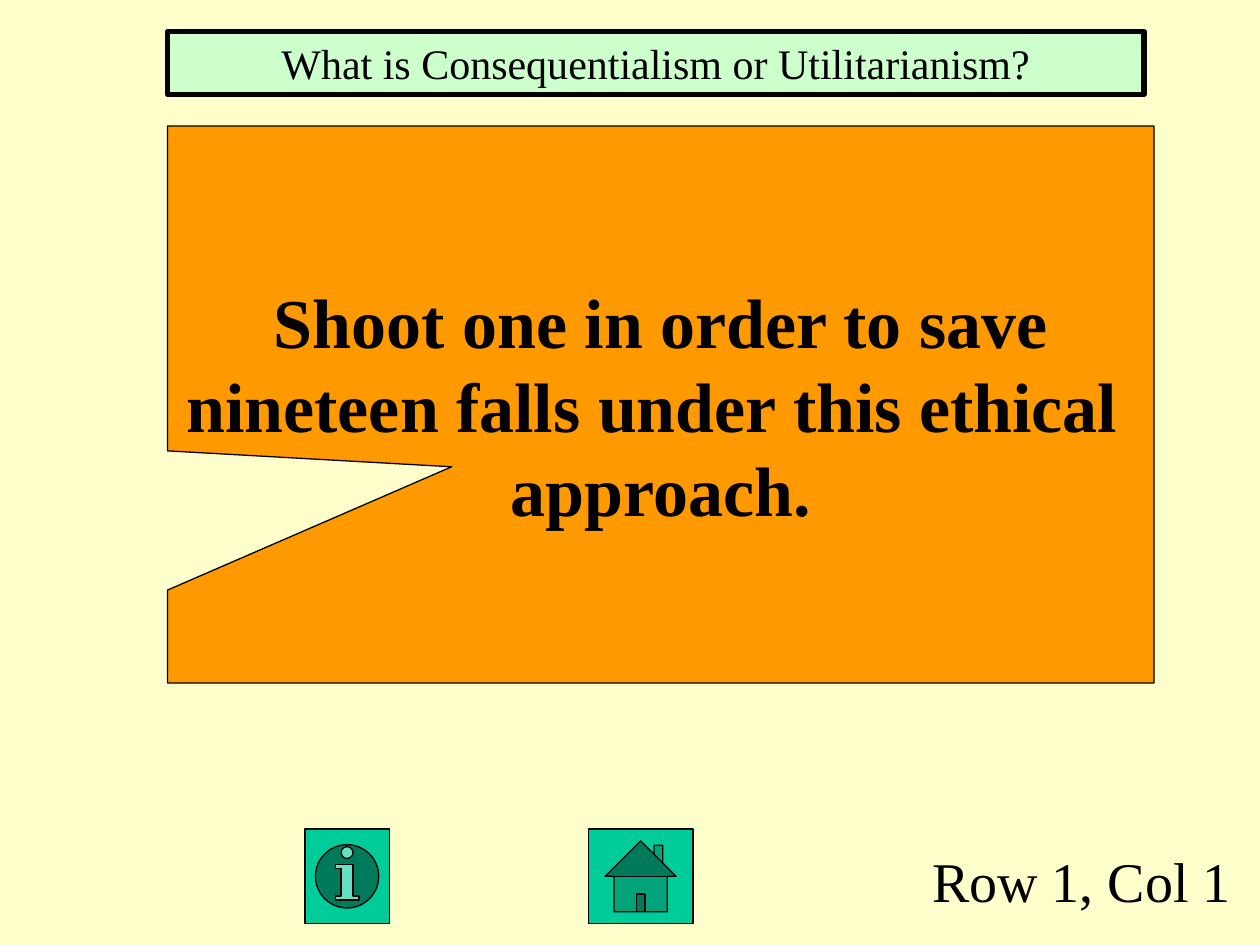
from dataclasses import dataclass

from pptx import Presentation
from pptx.dml.color import RGBColor
from pptx.enum.shapes import MSO_SHAPE
from pptx.enum.text import MSO_ANCHOR, PP_ALIGN
from pptx.util import Inches, Pt


@dataclass(frozen=True)
class Theme:
    font: str = "Times New Roman"
    background: str = "FFFFCC"
    ink: str = "000000"
    callout: str = "FF9900"
    answer: str = "CCFFCC"
    button: str = "00CC99"
    answer_size: int = 24
    label_size: int = 32
    clue_size: int = 40
    thin_line: float = 0.75
    thick_line: float = 3


THEME = Theme()


def write_lines(shape, lines, size, bold=False):
    """Put centred lines of text into a shape, one paragraph each."""
    frame = shape.text_frame
    frame.text = "\n".join(lines)
    for para in frame.paragraphs:
        para.alignment = PP_ALIGN.CENTER
        para.space_before = Pt(0)
        for span in para.runs:
            span.font.name = THEME.font
            span.font.size = Pt(size)
            span.font.bold = bold
            span.font.color.rgb = RGBColor.from_string(THEME.ink)
    return frame


def add_outlined_shape(page, kind, left, top, width, height, fill, line=THEME.thin_line):
    shape = page.shapes.add_shape(
        kind, Inches(left), Inches(top), Inches(width), Inches(height))
    shape.shadow.inherit = False
    shape.fill.solid()
    shape.fill.fore_color.rgb = RGBColor.from_string(fill)
    shape.line.color.rgb = RGBColor.from_string(THEME.ink)
    shape.line.width = Pt(line)
    return shape


def add_button(page, kind, left, width):
    return add_outlined_shape(page, kind, left, 6.58, width, 0.75, THEME.button)


def add_clue(page, lines):
    callout = add_outlined_shape(
        page, MSO_SHAPE.RECTANGULAR_CALLOUT, 1.33, 1, 7.83, 4.42, THEME.callout)
    callout.adjustments[0] = -0.212
    callout.adjustments[1] = 0.112
    frame = write_lines(callout, lines, THEME.clue_size, bold=True)
    frame.word_wrap = False
    frame.vertical_anchor = MSO_ANCHOR.MIDDLE


def add_answer(page, text):
    bar = add_outlined_shape(page, MSO_SHAPE.RECTANGLE, 1.33, 0.25, 7.75, 0.5,
                             THEME.answer, THEME.thick_line)
    frame = write_lines(bar, [text], THEME.answer_size)
    frame.word_wrap = True
    frame.vertical_anchor = MSO_ANCHOR.MIDDLE


def place_label(label, text):
    label.left, label.top = Inches(7.17), Inches(6.67)
    label.width, label.height = Inches(2.83), Inches(0.83)
    frame = write_lines(label, [text], THEME.label_size)
    frame.vertical_anchor = MSO_ANCHOR.TOP


def main():
    deck = Presentation()
    deck.slide_width, deck.slide_height = Inches(10), Inches(7.5)
    page = deck.slides.add_slide(deck.slide_layouts[0])
    page.background.fill.solid()
    page.background.fill.fore_color.rgb = RGBColor.from_string(THEME.background)

    # Board position, in the subtitle; the title stays unused
    title = page.shapes.title.element
    title.getparent().remove(title)
    place_label(page.placeholders[1], "Row 1, Col 1")

    # Clue and answer
    add_clue(page, ["Shoot one in order to save",
                    "nineteen falls under this ethical ",
                    "approach."])
    add_answer(page, "What is Consequentialism or Utilitarianism?")

    # Navigation buttons
    add_button(page, MSO_SHAPE.ACTION_BUTTON_HOME, 4.67, 0.83)
    add_button(page, MSO_SHAPE.ACTION_BUTTON_INFORMATION, 2.42, 0.67)

    deck.save("out.pptx")


if __name__ == "__main__":
    main()
